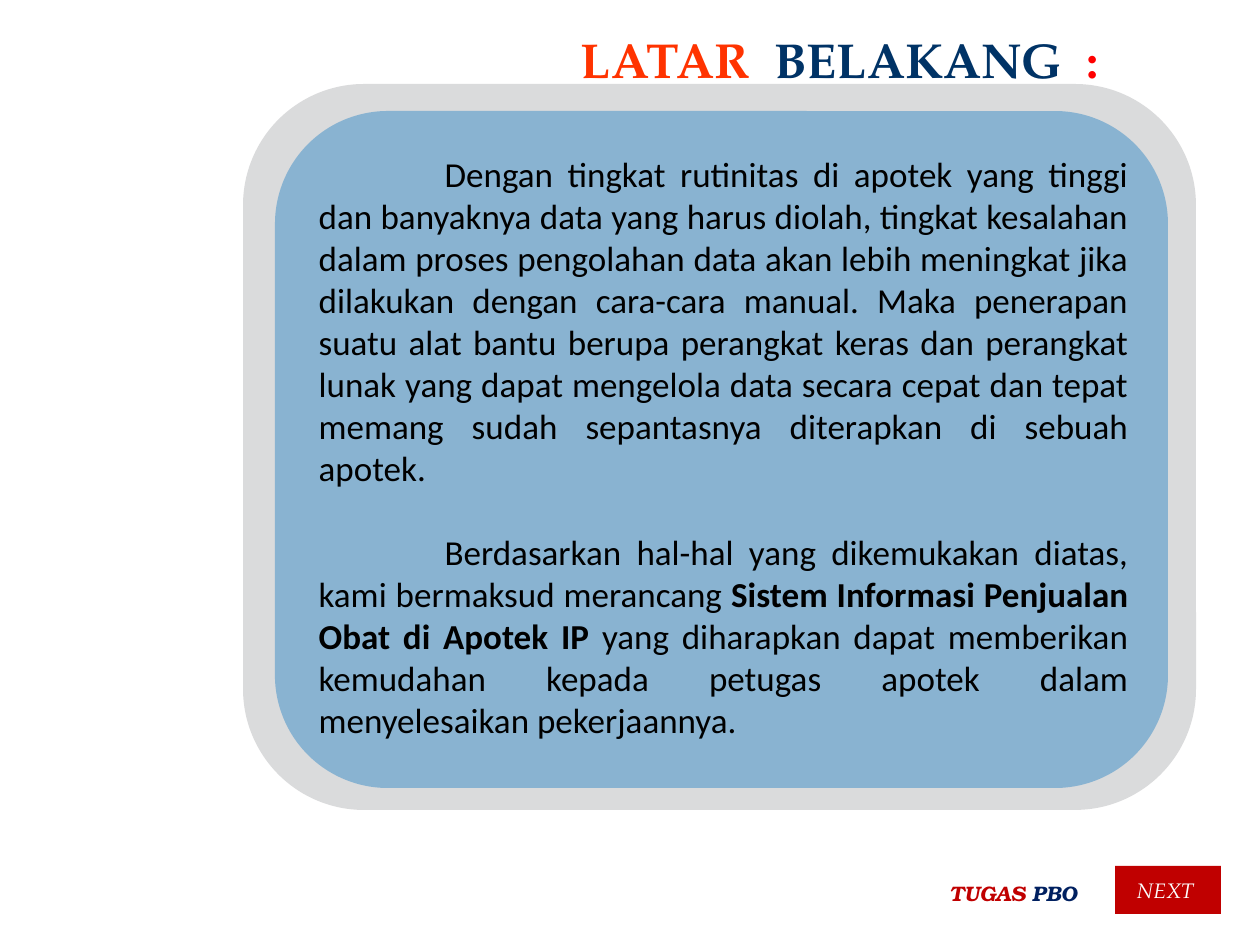
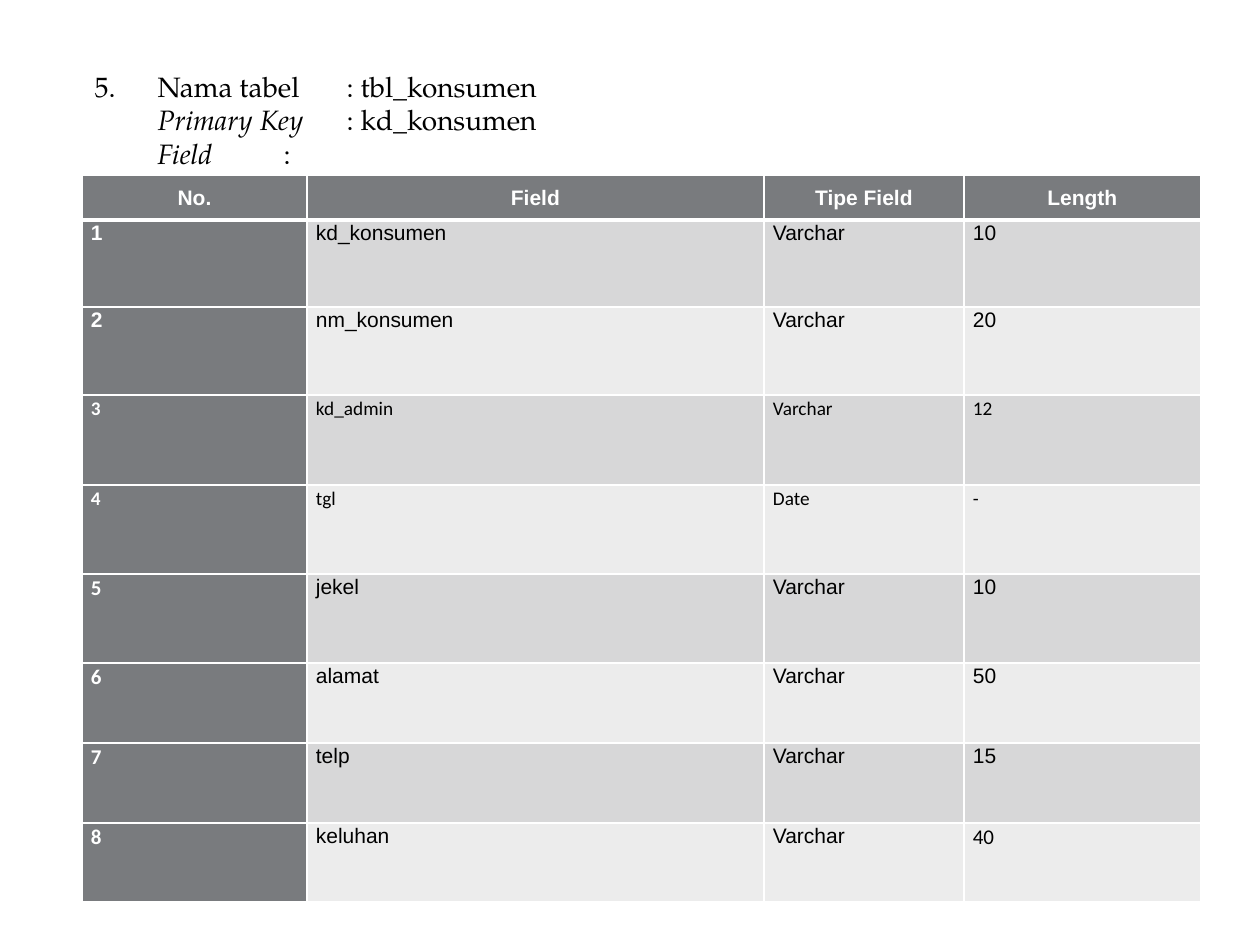
from collections import namedtuple
from dataclasses import dataclass

from lxml import etree
from pptx import Presentation
from pptx.dml.color import RGBColor
from pptx.enum.shapes import MSO_SHAPE
from pptx.enum.text import MSO_ANCHOR, MSO_AUTO_SIZE, PP_ALIGN
from pptx.oxml.ns import qn
from pptx.util import Emu, Pt

PX_PER_INCH = 126
EMU_PER_PX = 914400 / PX_PER_INCH

Box = namedtuple("Box", "left top width height")


@dataclass(frozen=True)
class Theme:
    # Colours
    black: str = "000000"
    white: str = "FFFFFF"
    orange: str = "FF3300"
    navy: str = "003366"
    red: str = "FF0000"
    crimson: str = "C00000"
    midnight: str = "002060"
    button_text: str = "FDFDFD"
    gray: str = "797B7E"
    blue: str = "0070C0"
    bands: tuple = ("D7D7D8", "ECECEC")
    # Fonts
    heading_font: str = "TeX Gyre Pagella"
    footer_font: str = "TeX Gyre Bonum"
    body_font: str = "Calibri"
    table_font: str = "Arial"
    # Type sizes
    title_size: int = 28
    body_size: int = 20
    heading_size: int = 16
    small_size: int = 12
    tiny_size: int = 11


THEME = Theme()

HEADERS = ("No.", "Field", "Tipe Field", "Length")
FIELDS = (
    ("kd_konsumen", "Varchar", "10"),
    ("nm_konsumen", "Varchar", "20"),
    ("kd_admin", "Varchar", "12"),
    ("tgl", "Date", "-"),
    ("jekel", "Varchar", "10"),
    ("alamat", "Varchar", "50"),
    ("telp", "Varchar", "15"),
    ("keluhan", "Varchar", "40"),
)
COLUMN_WIDTHS = (225, 457, 200, 237)
ROW_HEIGHTS = (45, 87, 88, 90, 89, 89, 80, 80, 79)


def px(length):
    return Emu(round(length * EMU_PER_PX))


def inside(box, left, top, width, height):
    return Box(box.left + left, box.top + top, width, height)


def place(shape, box):
    shape.left, shape.top, shape.width, shape.height = map(px, box)


def add_run(paragraph, text, font, size, color=THEME.black, bold=False, italic=False):
    run = paragraph.add_run()
    run.text = text
    run.font.name = font
    run.font.size = Pt(size)
    run.font.color.rgb = RGBColor.from_string(color)
    run.font.bold = bold
    run.font.italic = italic


def prepare_frame(shape, anchor=MSO_ANCHOR.TOP):
    frame = shape.text_frame
    frame.word_wrap = True
    frame.auto_size = MSO_AUTO_SIZE.NONE
    frame.vertical_anchor = anchor
    return frame


def next_paragraph(frame, first, alignment=PP_ALIGN.LEFT):
    paragraph = frame.paragraphs[0] if first else frame.add_paragraph()
    paragraph.alignment = alignment
    paragraph.space_before = Pt(0)
    return paragraph


def set_indent(paragraph, margin, indent):
    properties = paragraph._p.get_or_add_pPr()
    properties.set("marL", str(px(margin)))
    properties.set("indent", str(px(indent)))
    return properties


def bring_to_front(shape):
    shape.element.getparent().append(shape.element)


def add_filled_shape(slide, kind, box, color, opacity=None):
    shape = slide.shapes.add_shape(kind, *map(px, box))
    shape.shadow.inherit = False
    shape.fill.solid()
    shape.fill.fore_color.rgb = RGBColor.from_string(color)
    shape.line.fill.background()
    if opacity is not None:
        color_element = shape.element.spPr.find(".//" + qn("a:srgbClr"))
        etree.SubElement(color_element, qn("a:alpha"), val=str(opacity * 1000))
    return shape


# Background slide: title, panel with prose, footer
def fill_title(slide, box):
    title = slide.shapes.title
    place(title, box)
    paragraph = next_paragraph(prepare_frame(title), first=True)
    for text, color in (
        ("LATAR  ", THEME.orange),
        ("BELAKANG  ", THEME.navy),
        (":", THEME.red),
    ):
        add_run(paragraph, text, THEME.heading_font, THEME.title_size, color, bold=True)
    bring_to_front(title)


def add_prose_panel(slide, box):
    inner = inside(box, 32, 27, 893, 677)
    for panel_box, color, opacity in ((box, THEME.gray, 27), (inner, THEME.blue, 37)):
        add_filled_shape(slide, MSO_SHAPE.ROUNDED_RECTANGLE, panel_box, color, opacity)

    body = slide.placeholders[1]
    place(body, inside(box, 63, 62, 835, 640))
    frame = prepare_frame(body)
    passages = (
        (
            (
                "Dengan tingkat rutinitas di apotek yang tinggi dan banyaknya data yang "
                "harus diolah, tingkat kesalahan dalam proses pengolahan data akan lebih "
                "meningkat jika dilakukan dengan cara-cara manual. Maka penerapan suatu "
                "alat bantu berupa perangkat keras dan perangkat lunak yang dapat mengelola "
                "data secara cepat dan tepat memang sudah sepantasnya diterapkan di sebuah "
                "apotek.",
                False,
            ),
        ),
        (
            ("Berdasarkan hal-hal yang dikemukakan diatas, kami bermaksud merancang ", False),
            ("Sistem Informasi Penjualan Obat di Apotek IP ", True),
            (
                "yang diharapkan dapat memberikan kemudahan kepada petugas apotek dalam "
                "menyelesaikan pekerjaannya.",
                False,
            ),
        ),
    )
    for index, passage in enumerate(passages):
        paragraph = next_paragraph(frame, index == 0, PP_ALIGN.JUSTIFY)
        paragraph.space_before = Pt(24 * index)
        properties = set_indent(paragraph, 0, PX_PER_INCH)
        etree.SubElement(properties, qn("a:buNone"))
        for text, bold in passage:
            add_run(paragraph, text, THEME.body_font, THEME.body_size, bold=bold)
    bring_to_front(body)


def add_footer(slide, box):
    label = slide.shapes.add_textbox(*map(px, inside(box, 0, 8, 163, 38)))
    paragraph = next_paragraph(prepare_frame(label), first=True)
    for text, color in (("TUGAS ", THEME.crimson), ("PBO", THEME.midnight)):
        add_run(paragraph, text, THEME.footer_font, THEME.small_size, color,
                bold=True, italic=True)

    button = add_filled_shape(
        slide, MSO_SHAPE.RECTANGLE, inside(box, 178, 0, 106, 48), THEME.crimson)
    frame = prepare_frame(button, MSO_ANCHOR.MIDDLE)
    frame.margin_left = frame.margin_right = frame.margin_top = frame.margin_bottom = 0
    paragraph = next_paragraph(frame, first=True)
    set_indent(paragraph, 22, 0)
    add_run(paragraph, "NEXT", THEME.heading_font, THEME.small_size,
            THEME.button_text, italic=True)


def build_background_slide(presentation):
    slide = presentation.slides.add_slide(presentation.slide_layouts[1])
    add_prose_panel(slide, Box(243, 84, 953, 726))
    fill_title(slide, Box(568, 23, 576, 72))
    add_footer(slide, Box(937, 866, 284, 48))


# Table slide: heading lines with tab stops, field table
def fill_table_heading(slide, box):
    title = slide.shapes.title
    place(title, box)
    frame = prepare_frame(title, MSO_ANCHOR.MIDDLE)
    lines = (
        (("5.\tNama tabel\t: tbl_konsumen", False),),
        (("\tPrimary Key\t", True), (": kd_konsumen", False)),
        (("\tField\t\t", True), (":", False)),
    )
    for index, line in enumerate(lines):
        paragraph = next_paragraph(frame, index == 0)
        properties = set_indent(paragraph, 0, 0)
        tab_list = etree.SubElement(properties, qn("a:tabLst"))
        for stop in (1, 2, 3):
            etree.SubElement(tab_list, qn("a:tab"), pos=str(px(stop * PX_PER_INCH)), algn="l")
        for text, italic in line:
            add_run(paragraph, text, THEME.heading_font, THEME.heading_size, italic=italic)


def set_borders(cell, bottom_width=1, top_width=1):
    properties = cell._tc.get_or_add_tcPr()
    widths = {"a:lnL": 1, "a:lnR": 1, "a:lnT": top_width, "a:lnB": bottom_width}
    for position, (tag, width) in enumerate(widths.items()):
        line = etree.Element(qn(tag), w=str(Pt(width)))
        fill = etree.SubElement(line, qn("a:solidFill"))
        etree.SubElement(fill, qn("a:srgbClr"), val=THEME.white)
        properties.insert(position, line)


def cell_type(row, column):
    if row in (3, 4):
        return THEME.body_font, THEME.tiny_size
    if (column == 0 and row >= 5) or (row, column) == (8, 3):
        return THEME.body_font, THEME.small_size
    return THEME.table_font, THEME.small_size


def fill_cell(cell, text, row, column):
    is_header = row == 0
    is_label = is_header or column == 0
    cell.fill.solid()
    cell.fill.fore_color.rgb = RGBColor.from_string(
        THEME.gray if is_label else THEME.bands[(row - 1) % 2])
    cell.margin_left = cell.margin_right = px(9)
    cell.margin_top = cell.margin_bottom = 0
    cell.vertical_anchor = MSO_ANCHOR.MIDDLE if is_header else MSO_ANCHOR.TOP
    paragraph = next_paragraph(
        cell.text_frame, True, PP_ALIGN.CENTER if is_header else PP_ALIGN.LEFT)
    paragraph.line_spacing = 1.07
    font, size = cell_type(row, column)
    add_run(paragraph, text, font, size,
            THEME.white if is_label else THEME.black, bold=is_label)
    set_borders(cell, 3 if is_header else 1, 3 if row == 1 else 1)


def add_field_table(slide, box):
    rows = [HEADERS] + [(str(number), *field) for number, field in enumerate(FIELDS, 1)]
    table = slide.shapes.add_table(len(rows), len(HEADERS), *map(px, box)).table
    table.horz_banding = False
    for column, width in zip(table.columns, COLUMN_WIDTHS):
        column.width = px(width)
    for row, height in zip(table.rows, ROW_HEIGHTS):
        row.height = px(height)
    for row, texts in enumerate(rows):
        for column, text in enumerate(texts):
            fill_cell(table.cell(row, column), text, row, column)


def build_table_slide(presentation):
    slide = presentation.slides.add_slide(presentation.slide_layouts[5])
    add_field_table(slide, Box(82, 175, sum(COLUMN_WIDTHS), sum(ROW_HEIGHTS)))
    fill_table_heading(slide, Box(82, 62, 1097, 115))


def main():
    presentation = Presentation()
    presentation.slide_width = px(10 * PX_PER_INCH)
    presentation.slide_height = px(945)
    build_background_slide(presentation)
    build_table_slide(presentation)
    presentation.save("out.pptx")


if __name__ == "__main__":
    main()
